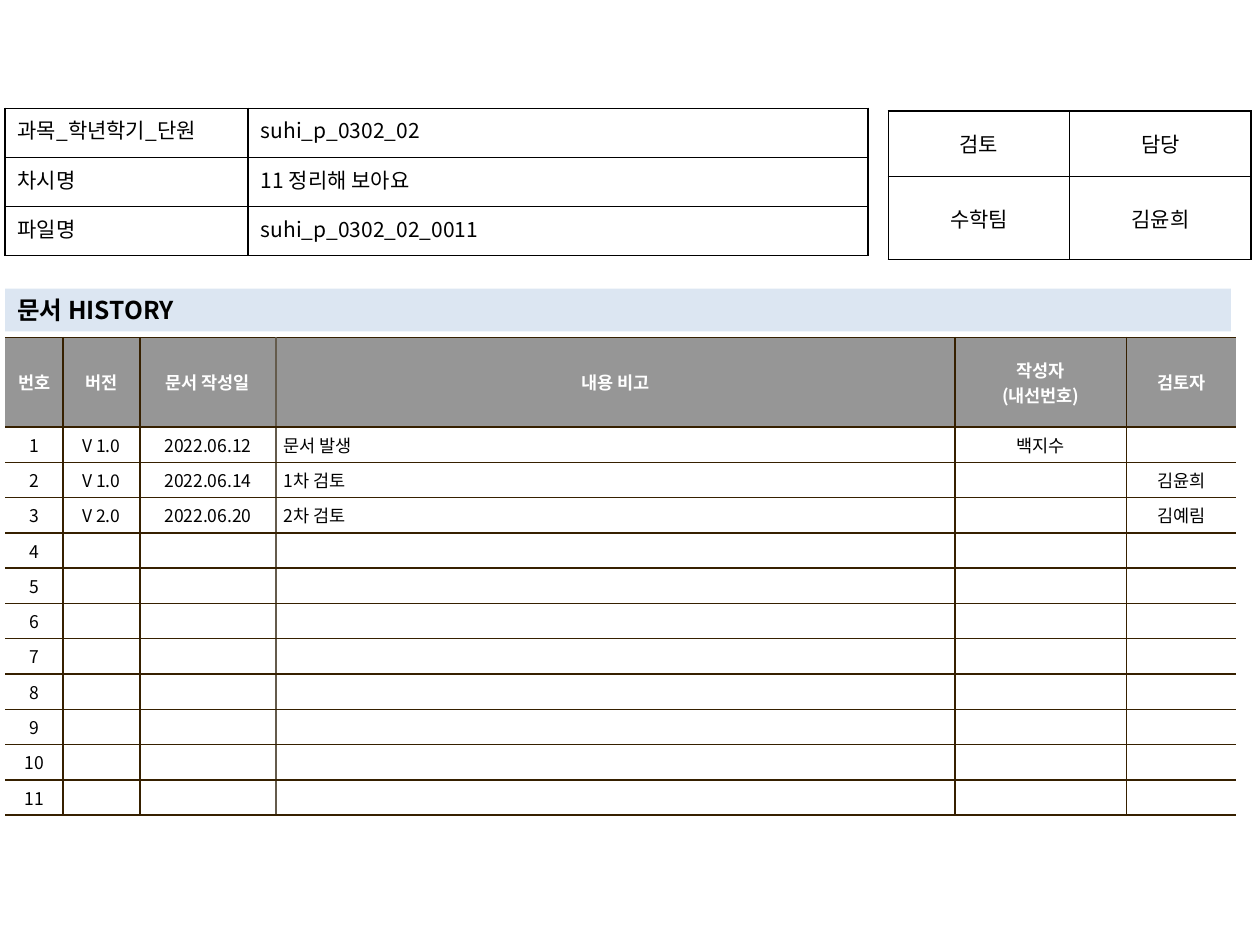
import pptx
import pptx.util
import pptx.dml.color
import pptx.enum.shapes
import pptx.enum.text
import pptx.oxml.ns
from lxml import etree
from pptx.util import Inches

FONT = "Noto Sans CJK KR"
COLORS = {
    "black": "000000",
    "white": "FFFFFF",
    "header": "969696",
    "band": "DCE6F2",
    "rule": "362000",
    "soft_rule": "645B4C",
}
PLAIN_TABLE_STYLE = "{2D5ABB26-0587-4C30-8999-92F81FD0307C}"
ALIGN = pptx.enum.text.PP_ALIGN
MIDDLE = pptx.enum.text.MSO_ANCHOR.MIDDLE
TOP = pptx.enum.text.MSO_ANCHOR.TOP

DOCUMENT_INFO = [
    ["과목_학년학기_단원", "suhi_p_0302_02"],
    ["차시명", "11 정리해 보아요"],
    ["파일명", "suhi_p_0302_02_0011"],
]
APPROVAL = [["검토", "담당"], ["수학팀", "김윤희"]]
HISTORY_HEADER = ["번호", "버전", "문서 작성일", "내용 비고", "작성자\n(내선번호)", "검토자"]
HISTORY_ENTRIES = [
    ["V 1.0", "2022.06.12", "문서 발생", "백지수", ""],
    ["V 1.0", "2022.06.14", "1차 검토", "", "김윤희"],
    ["V 2.0", "2022.06.20", "2차 검토", "", "김예림"],
]
HISTORY_ROWS = 11
NOTE_COLUMN = 3


def rgb(name):
    return pptx.dml.color.RGBColor.from_string(COLORS[name])


def sub(parent, tag, **attributes):
    return etree.SubElement(parent, pptx.oxml.ns.qn(tag), **attributes)


def write(frame, text, size, color="black", bold=False, align=ALIGN.LEFT):
    for index, line in enumerate(text.split("\n")):
        paragraph = frame.paragraphs[0] if index == 0 else frame.add_paragraph()
        paragraph.alignment = align
        if not line:
            # Keeps an empty cell as low as a filled one
            sub(paragraph._p, "a:endParaRPr", sz=str(size * 100))
            continue
        run = paragraph.add_run()
        run.text = line
        run.font.size = pptx.util.Pt(size)
        run.font.bold = bold
        run.font.color.rgb = rgb(color)
        run.font.name = FONT
        sub(run._r.get_or_add_rPr(), "a:ea", typeface=FONT)


def set_borders(cell, left, right, top, bottom):
    properties = cell._tc.get_or_add_tcPr()
    sides = {"a:lnL": left, "a:lnR": right, "a:lnT": top, "a:lnB": bottom}
    for tag, color in sides.items():
        line = sub(properties, tag, w="12700")
        if color:
            sub(sub(line, "a:solidFill"), "a:srgbClr", val=COLORS[color])
        else:
            sub(line, "a:noFill")


def set_cell(cell, margins, borders, fill=None, anchor=MIDDLE):
    cell.margin_left = cell.margin_right = Inches(margins[0])
    cell.margin_top = cell.margin_bottom = Inches(margins[1])
    cell.vertical_anchor = anchor
    set_borders(cell, *borders)
    if fill:
        cell.fill.solid()
        cell.fill.fore_color.rgb = rgb(fill)
    else:
        cell.fill.background()


def add_grid(slide, left, top, widths, heights):
    frame = slide.shapes.add_table(
        len(heights), len(widths), Inches(left), Inches(top),
        Inches(sum(widths)), Inches(sum(heights)))
    table = frame.table
    table.first_row = table.horz_banding = False
    table._tbl.tblPr.find(pptx.oxml.ns.qn("a:tableStyleId")).text = PLAIN_TABLE_STYLE
    for column, width in zip(table.columns, widths):
        column.width = Inches(width)
    for row, height in zip(table.rows, heights):
        row.height = Inches(height)
    return table


def add_box_table(slide, left, top, widths, heights, rows, aligns, anchor):
    table = add_grid(slide, left, top, widths, heights)
    for r, row in enumerate(rows):
        for c, text in enumerate(row):
            cell = table.cell(r, c)
            set_cell(cell, (0.1, 0.05), ["black"] * 4, anchor=anchor)
            write(cell.text_frame, text, 12, align=aligns[c])


def add_history_table(slide):
    table = add_grid(slide, 0.04, 2.68, [0.46, 0.61, 1.08, 5.39, 1.36, 0.87],
                     [0.71] + [0.25] * HISTORY_ROWS)
    # Vertical rules from left to right; the outer sides stay open
    rules = [None, "rule", "rule", "soft_rule", "rule", "rule", None]
    blanks = [[""] * 5] * (HISTORY_ROWS - len(HISTORY_ENTRIES))
    numbered = [[str(number)] + entry
                for number, entry in enumerate(HISTORY_ENTRIES + blanks, 1)]
    for r, row in enumerate([HISTORY_HEADER] + numbered):
        is_header = r == 0
        for c, text in enumerate(row):
            cell = table.cell(r, c)
            is_note = c == NOTE_COLUMN and not is_header
            set_cell(cell, (0.06, 0.04), (rules[c], rules[c + 1], "rule", "rule"),
                     "header" if is_header else "white")
            write(cell.text_frame, text, 10, "white" if is_header else "black",
                  is_header, ALIGN.LEFT if is_note else ALIGN.CENTER)
            if is_note:
                indent = cell.text_frame.paragraphs[0]._p.get_or_add_pPr()
                indent.set("marL", str(Inches(0.19)))
                indent.set("indent", str(Inches(-0.19)))


def add_heading_band(slide, text):
    band = slide.shapes.add_shape(
        pptx.enum.shapes.MSO_SHAPE.RECTANGLE,
        Inches(0.04), Inches(2.29), Inches(9.73), Inches(0.34))
    band.shadow.inherit = False
    band.fill.solid()
    band.fill.fore_color.rgb = rgb("band")
    band.line.fill.background()
    band.text_frame.word_wrap = True
    band.text_frame.vertical_anchor = MIDDLE
    write(band.text_frame, text, 14, bold=True)


def main():
    deck = pptx.Presentation()
    deck.slide_width, deck.slide_height = Inches(10), Inches(7.5)
    slide = deck.slides.add_slide(deck.slide_layouts[6])

    # Version history
    add_history_table(slide)
    # Reviewer and owner
    add_box_table(slide, 7.05, 0.88, [1.44, 1.44], [0.52, 0.66], APPROVAL,
                  [ALIGN.CENTER, ALIGN.CENTER], MIDDLE)
    add_heading_band(slide, "문서 HISTORY")
    # Subject, lesson and file name
    add_box_table(slide, 0.04, 0.86, [1.93, 4.92], [0.39] * 3, DOCUMENT_INFO,
                  [ALIGN.JUSTIFY, ALIGN.LEFT], TOP)

    deck.save("out.pptx")


if __name__ == "__main__":
    main()
